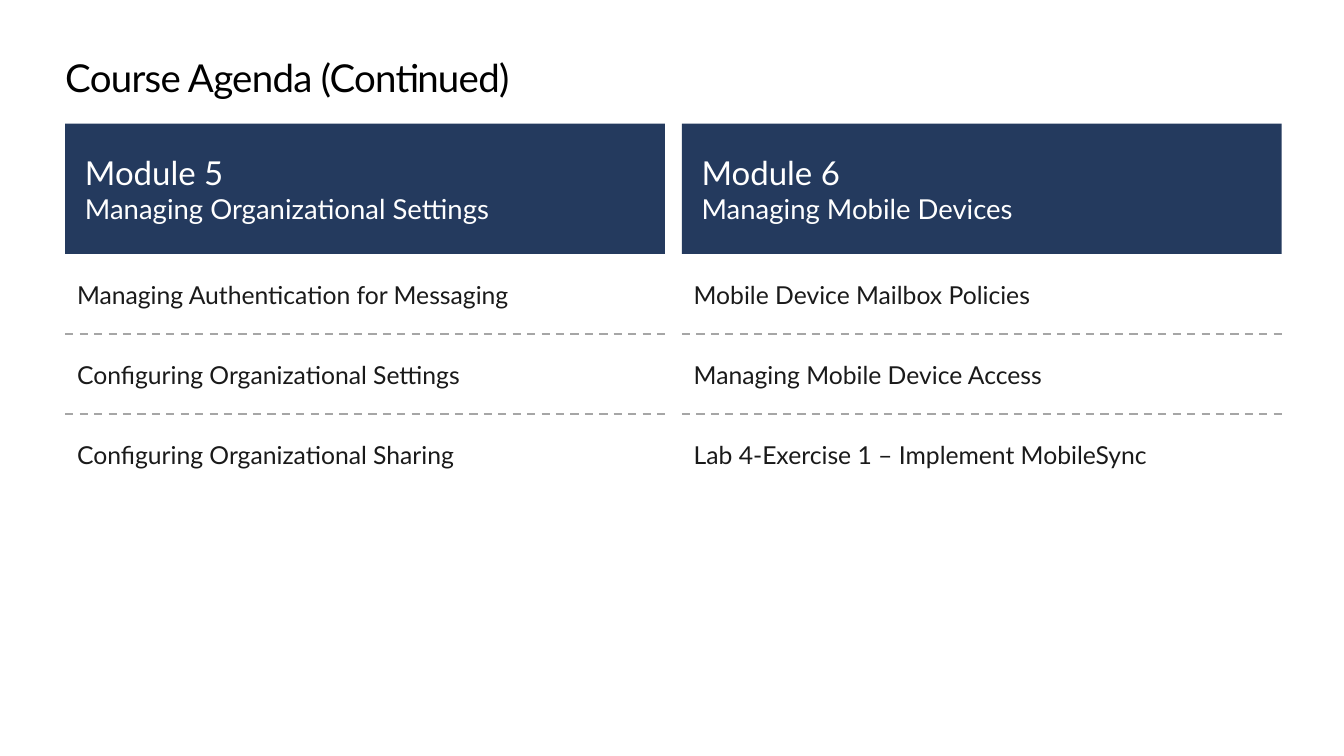
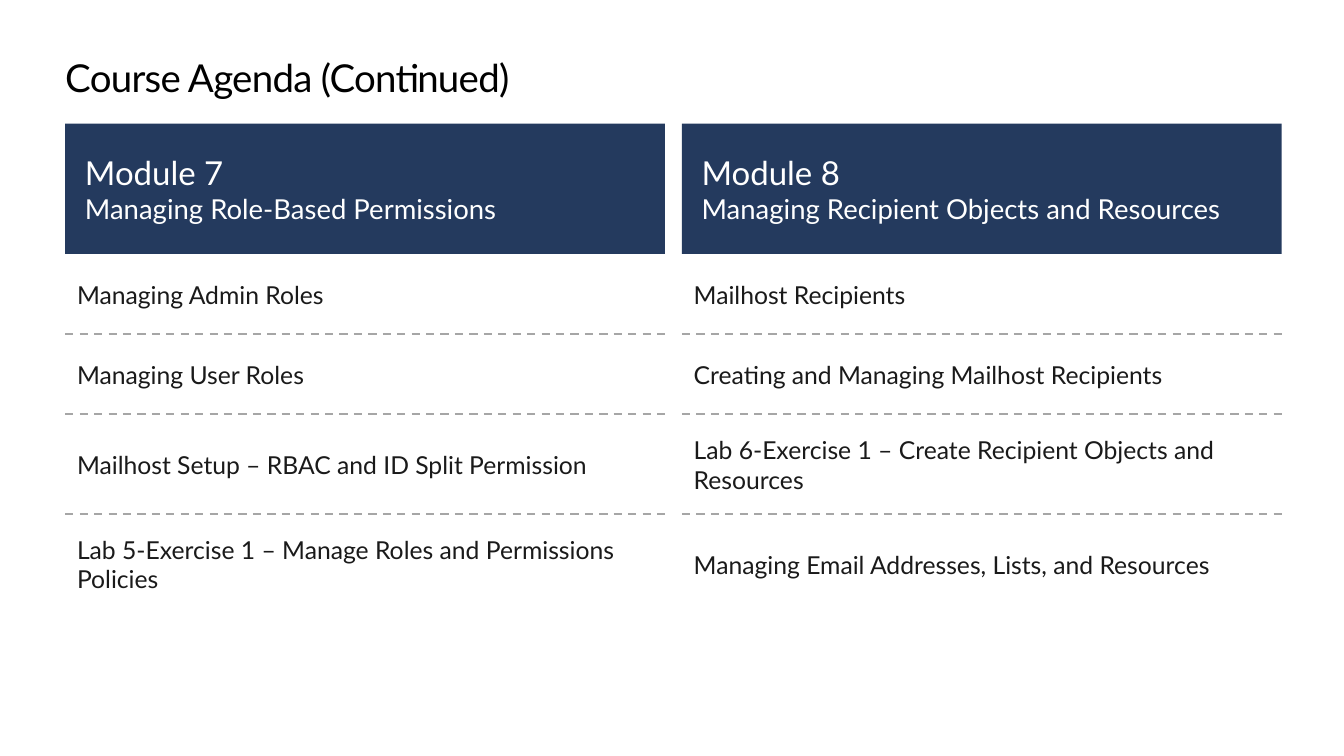
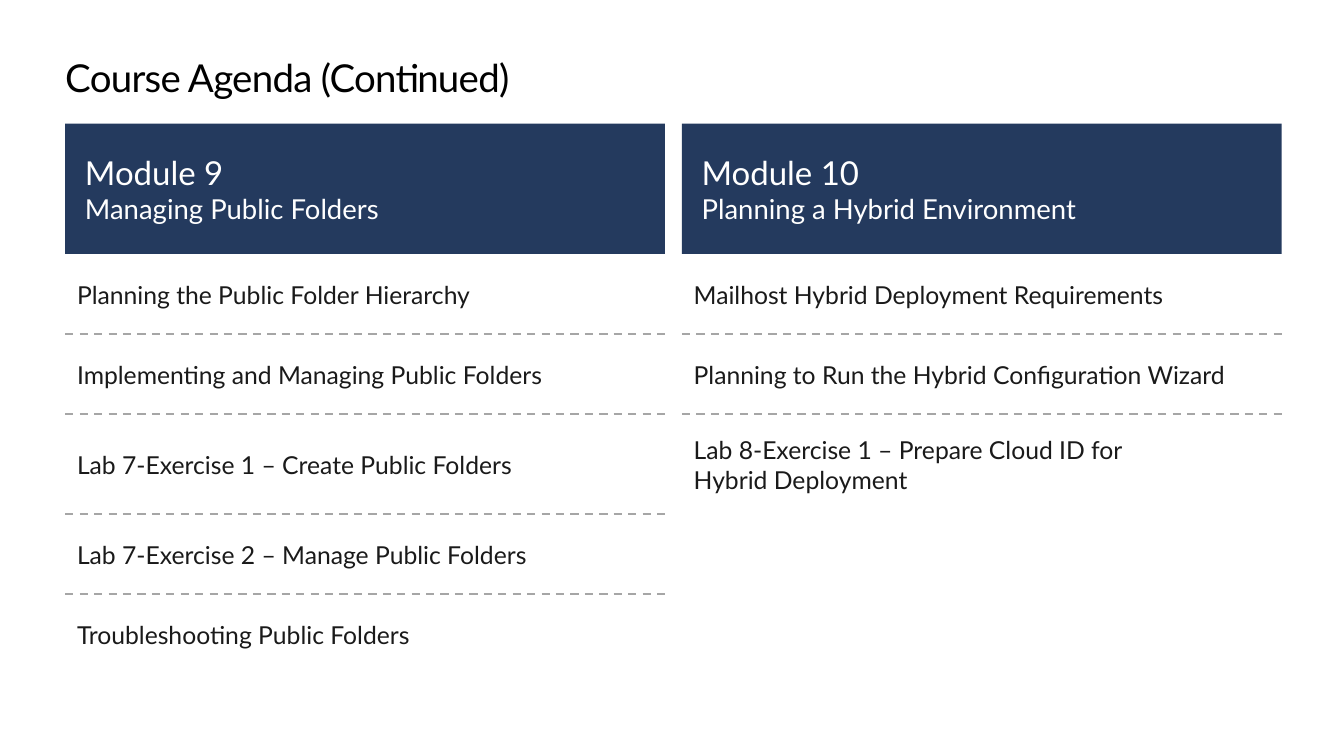
"""Build three course agenda slides, each with two module columns."""
from pptx import Presentation
from pptx import util as u
from pptx.dml.color import RGBColor
from pptx.enum import dml, shapes, text
from pptx.oxml import parse_xml
from pptx.oxml.ns import nsdecls

PX = u.Inches(1) // 100
SLIDE_W, SLIDE_H = 1360, 765
TITLE_BOX = (66, 55, 1229, 48)
COLUMN_X, COLUMN_Y, COLUMN_W, COLUMN_GAP = 66, 125, 607, 17
HEADER_H = 132
FIRST_TOPIC_DY, TOPIC_GAP, DIVIDER_DY = 143, 21, 10

FONT = "Lato"
BLACK = RGBColor(0x00, 0x00, 0x00)
WHITE = RGBColor(0xFF, 0xFF, 0xFF)
NAVY = RGBColor(0x24, 0x3A, 0x5E)
INK = RGBColor(0x1A, 0x1A, 0x1A)
GREY = RGBColor(0xA6, 0xA6, 0xA6)

TITLE = "Course Agenda (Continued)"
AGENDA = [
    ([60, 60, 60], [
        ("Module 5", "Managing Organizational Settings", [
            "Managing Authentication for Messaging",
            "Configuring Organizational Settings",
            "Configuring Organizational Sharing"]),
        ("Module 6", "Managing Mobile Devices", [
            "Mobile Device Mailbox Policies",
            "Managing Mobile Device Access",
            "Lab 4-Exercise 1 – Implement MobileSync"]),
    ]),
    ([60, 60, 80, 80], [
        ("Module 7", "Managing Role-Based Permissions", [
            "Managing Admin Roles",
            "Managing User Roles",
            "Mailhost Setup – RBAC and ID Split Permission",
            "Lab 5-Exercise 1 – Manage Roles and Permissions Policies"]),
        ("Module 8", "Managing Recipient Objects and Resources", [
            "Mailhost Recipients",
            "Creating and Managing Mailhost Recipients",
            "Lab 6-Exercise 1 – Create Recipient Objects and Resources",
            "Managing Email Addresses, Lists, and Resources"]),
    ]),
    ([60, 60, 80, 60, 60], [
        ("Module 9", "Managing Public Folders", [
            "Planning the Public Folder Hierarchy",
            "Implementing and Managing Public Folders",
            "Lab 7-Exercise 1 – Create Public Folders",
            "Lab 7-Exercise 2 – Manage Public Folders",
            "Troubleshooting Public Folders"]),
        ("Module 10", "Planning a Hybrid Environment", [
            "Mailhost Hybrid Deployment Requirements",
            "Planning to Run the Hybrid Configuration Wizard",
            "Lab 8-Exercise 1 – Prepare Cloud ID for\nHybrid Deployment"]),
    ]),
]


def px(*lengths):
    """Turn px lengths into EMU."""
    return [u.Emu(n * PX) for n in lengths]


def set_frame(tf, inset_x, inset_y, anchor):
    """Set insets, anchor and wrapping, and return the first paragraph."""
    tf.margin_left, tf.margin_top, tf.margin_right, tf.margin_bottom = px(
        inset_x, inset_y, inset_x, inset_y)
    tf.vertical_anchor = anchor
    tf.word_wrap = True
    p = tf.paragraphs[0]
    p.alignment = text.PP_ALIGN.LEFT
    return p


def add_run(p, words, size, color):
    """Add one styled run to a paragraph."""
    r = p.add_run()
    r.text = words
    r.font.name, r.font.size = FONT, u.Pt(size)
    r.font.color.rgb = color
    return r


def add_title(s):
    """Place and style the slide title."""
    sp = s.shapes.title
    sp.left, sp.top, sp.width, sp.height = px(*TITLE_BOX)
    p = set_frame(sp.text_frame, 0, 0, text.MSO_ANCHOR.TOP)
    sp.text_frame.auto_size = text.MSO_AUTO_SIZE.SHAPE_TO_FIT_TEXT
    r = add_run(p, TITLE, 28, BLACK)
    r.font._element.set("spc", "-50")


def add_header(s, x, y, w, module, subject):
    """Draw the filled header of a module column."""
    sp = s.shapes.add_shape(shapes.MSO_SHAPE.RECTANGLE, *px(x, y, w, HEADER_H))
    sp.shadow.inherit = False
    sp.fill.solid()
    sp.fill.fore_color.rgb = NAVY
    sp.line.fill.background()
    p = set_frame(sp.text_frame, 20, 15, text.MSO_ANCHOR.MIDDLE)
    add_run(p, module, 24, WHITE)
    p.add_line_break()
    add_run(p, subject, 20, WHITE)


def add_topic(s, x, y, w, h, topic):
    """Write one topic, with its line breaks."""
    sp = s.shapes.add_textbox(*px(x, y, w, h))
    p = set_frame(sp.text_frame, 12, 12, text.MSO_ANCHOR.MIDDLE)
    for i, line in enumerate(topic.split("\n")):
        if i:
            p.add_line_break()
        add_run(p, line, 18, INK)


def add_divider(s, x, y, w):
    """Draw a dashed rule between two topics."""
    line = s.shapes.add_connector(
        shapes.MSO_CONNECTOR.STRAIGHT, *px(x, y, x + w, y))
    line.line.color.rgb = GREY
    line.line.width = u.Pt(1.5)
    line.line.dash_style = dml.MSO_LINE.DASH
    line._element.spPr.append(parse_xml(f"<a:effectLst {nsdecls('a')}/>"))


def add_module(s, x, y, w, heights, module, subject, topics):
    """Stack a header and its topics from the given corner."""
    add_header(s, x, y, w, module, subject)
    top = y + FIRST_TOPIC_DY
    for i, (topic, h) in enumerate(zip(topics, heights)):
        add_topic(s, x, top, w, h, topic)
        if i < len(topics) - 1:
            add_divider(s, x, top + h + DIVIDER_DY, w)
        top += h + TOPIC_GAP


def add_agenda_slide(prs, heights, modules):
    """Add a titled slide with its module columns side by side."""
    s = prs.slides.add_slide(prs.slide_layouts[5])
    s.background.fill.solid()
    s.background.fill.fore_color.rgb = WHITE
    add_title(s)
    for i, module in enumerate(modules):
        x = COLUMN_X + i * (COLUMN_W + COLUMN_GAP)
        add_module(s, x, COLUMN_Y, COLUMN_W, heights, *module)


def main():
    """Build and save the presentation."""
    prs = Presentation()
    prs.slide_width, prs.slide_height = px(SLIDE_W, SLIDE_H)
    for heights, modules in AGENDA:
        add_agenda_slide(prs, heights, modules)
    prs.save("out.pptx")


if __name__ == "__main__":
    main()
